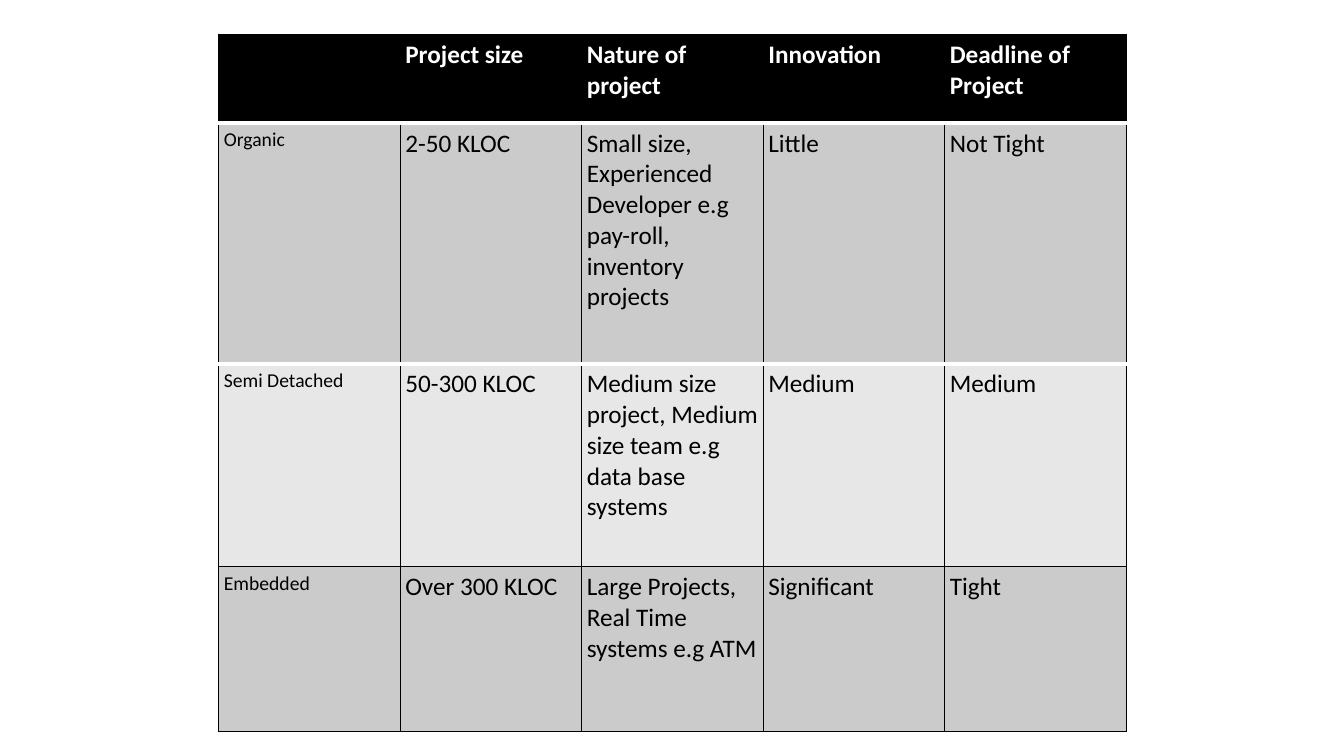
from dataclasses import dataclass

from lxml import etree
from pptx import Presentation
from pptx import util as u
from pptx.dml.color import RGBColor
from pptx.oxml.ns import qn

PX = 9144


@dataclass(frozen=True)
class Theme:
    font: str = "Calibri"
    black: str = "000000"
    white: str = "FFFFFF"
    bands: tuple = ("CBCBCB", "E7E7E7")
    body_size: int = 18
    mode_size: int = 14
    thin: int = 1
    thick: int = 3


THEME = Theme()

PROJECT_MODES = [
    ["", "Project size", "Nature of project", "Innovation", "Deadline of Project"],
    ["Organic", "2-50 KLOC",
     "Small size, Experienced Developer e.g pay-roll, inventory projects",
     "Little", "Not Tight"],
    ["Semi Detached", "50-300 KLOC",
     "Medium size project, Medium size team e.g data base systems",
     "Medium", "Medium"],
    ["Embedded", "Over 300 KLOC", "Large Projects, Real Time systems e.g ATM",
     "Significant", "Tight"],
]
ROW_HEIGHTS = [88, 239, 201, 164]
WHITE_RULES = (1, 2)


def px(length):
    return u.Emu(length * PX)


def add_border(cell, side, color, points):
    line = etree.SubElement(cell._tc.get_or_add_tcPr(), qn(f"a:ln{side}"),
                            w=str(u.Pt(points)))
    fill = etree.SubElement(line, qn("a:solidFill"))
    etree.SubElement(fill, qn("a:srgbClr"), val=color)


def format_cell(cell, content, row, column):
    header = row == 0
    for side, edge in (("L", None), ("R", None), ("T", row), ("B", row + 1)):
        if edge in WHITE_RULES:
            add_border(cell, side, THEME.white, THEME.thick)
        else:
            add_border(cell, side, THEME.black, THEME.thin)
    cell.fill.solid()
    cell.fill.fore_color.rgb = RGBColor.from_string(
        THEME.black if header else THEME.bands[(row - 1) % 2])
    cell.margin_left = cell.margin_right = px(5)
    cell.margin_top = cell.margin_bottom = px(5)
    cell.text_frame.text = content
    font = cell.text_frame.paragraphs[0].font
    if content:
        font = cell.text_frame.paragraphs[0].runs[0].font
    font.name = THEME.font
    font.size = u.Pt(THEME.mode_size if column == 0 and not header else THEME.body_size)
    font.bold = header
    font.color.rgb = RGBColor.from_string(THEME.white if header else THEME.black)


def add_modes_table(slide, left, top, width):
    column_count = len(PROJECT_MODES[0])
    modes = slide.shapes.add_table(len(PROJECT_MODES), column_count, px(left), px(top),
                                   px(width), px(sum(ROW_HEIGHTS))).table
    for column in modes.columns:
        column.width = px(width // column_count)
    for row, (height, contents) in enumerate(zip(ROW_HEIGHTS, PROJECT_MODES)):
        modes.rows[row].height = px(height)
        for column, content in enumerate(contents):
            format_cell(modes.cell(row, column), content, row, column)


def main():
    deck = Presentation()
    deck.slide_width, deck.slide_height = px(1333), px(750)
    slide = deck.slides.add_slide(deck.slide_layouts[6])
    add_modes_table(slide, 217, 34, 900)
    deck.save("out.pptx")


if __name__ == "__main__":
    main()
